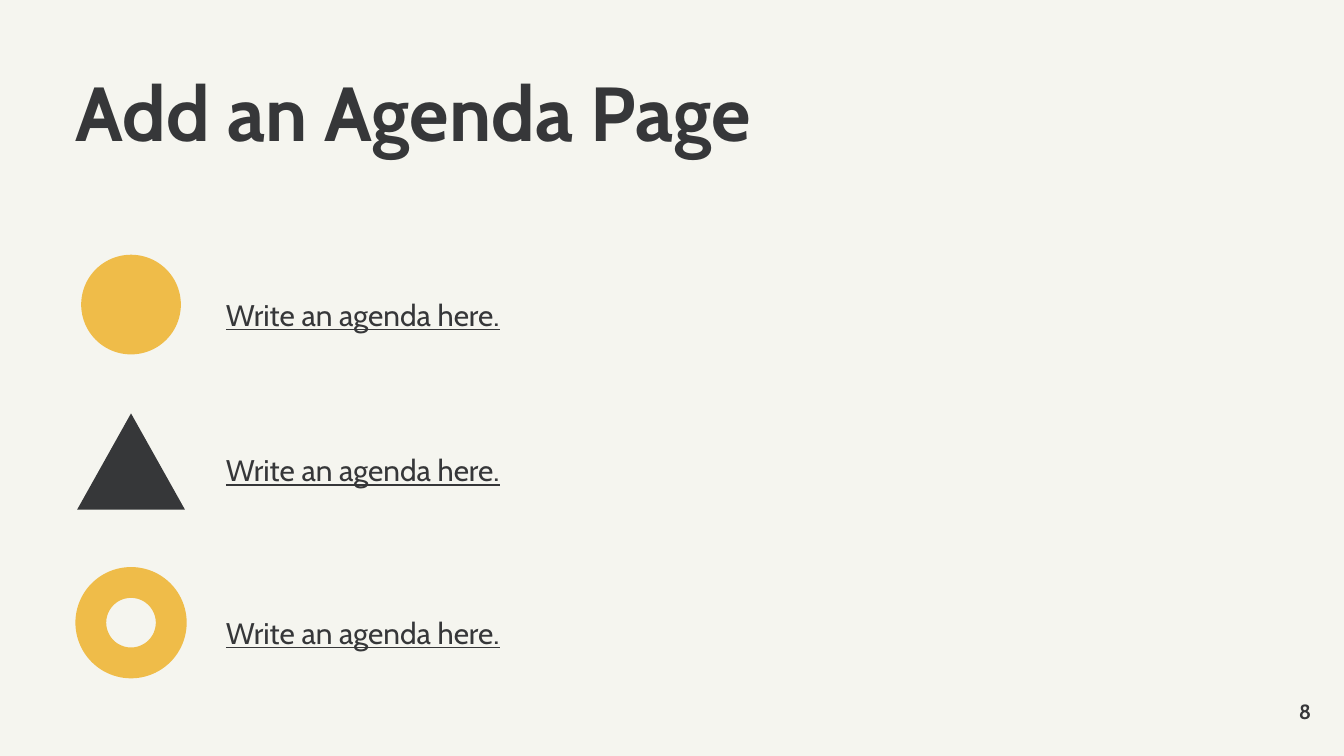
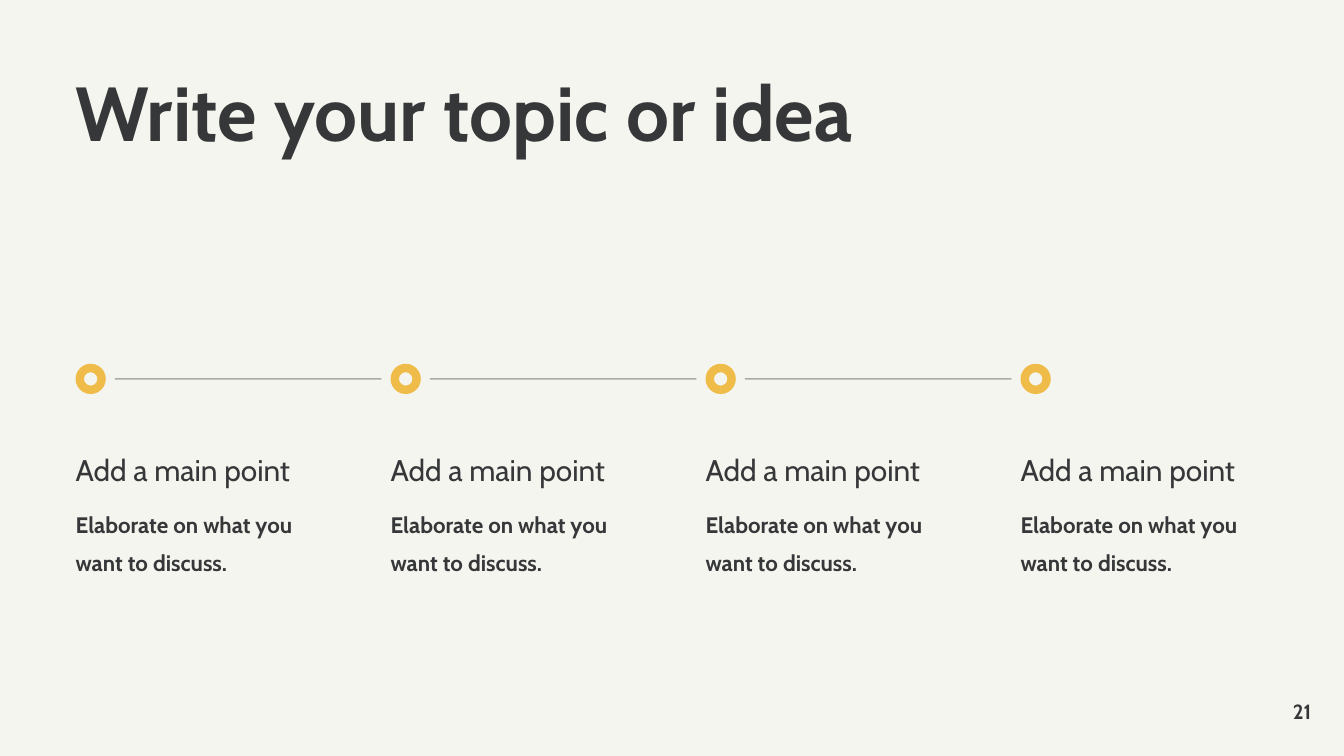
import pptx
import pptx.dml.color
import pptx.enum.shapes
import pptx.enum.text
import pptx.oxml
import pptx.oxml.ns
import pptx.util

Pt = pptx.util.Pt
MSO_SHAPE = pptx.enum.shapes.MSO_SHAPE
MSO_ANCHOR = pptx.enum.text.MSO_ANCHOR
PP_ALIGN = pptx.enum.text.PP_ALIGN
MSO_AUTO_SIZE = pptx.enum.text.MSO_AUTO_SIZE

PAPER = pptx.dml.color.RGBColor(0xF5, 0xF5, 0xEF)
INK = pptx.dml.color.RGBColor(0x36, 0x37, 0x39)
YELLOW = pptx.dml.color.RGBColor(0xEF, 0xBC, 0x49)
FONT = "Cabin"
MARGIN = 40.5
RING_THICKNESS = 0.277


def add_text(slide, text, left, top, width, height, size, spacing=None,
             bold=False, underline=None, grow=False):
    frame = slide.shapes.add_textbox(Pt(left), Pt(top), Pt(width), Pt(height)).text_frame
    frame.word_wrap = True
    frame.margin_left = frame.margin_right = frame.margin_top = frame.margin_bottom = 0
    frame.auto_size = MSO_AUTO_SIZE.SHAPE_TO_FIT_TEXT if grow else MSO_AUTO_SIZE.NONE
    frame.text = text
    paragraph = frame.paragraphs[0]
    paragraph.line_spacing = spacing
    font = paragraph.runs[0].font
    font.name = FONT
    font.size = Pt(size)
    font.bold = bold
    font.underline = underline
    font.color.rgb = INK
    return frame


def add_icon(slide, preset, left, top, width, height, color):
    icon = slide.shapes.add_shape(preset, Pt(left), Pt(top), Pt(width), Pt(height))
    icon.shadow.inherit = False
    icon.fill.solid()
    icon.fill.fore_color.rgb = color
    icon.line.fill.background()
    if preset == MSO_SHAPE.DONUT:
        icon.adjustments[0] = RING_THICKNESS


deck = pptx.Presentation()
deck.slide_width = Pt(720)
deck.slide_height = Pt(405)

# Background, title and page number of every slide
slides = []
for title, page in [("Add an Agenda Page", "8"), ("Write your topic or idea", "21")]:
    slide = deck.slides.add_slide(deck.slide_layouts[6])
    slide.background.fill.solid()
    slide.background.fill.fore_color.rgb = PAPER
    add_text(slide, title, MARGIN, 40.5, 510.5, 57, 41, 0.9, bold=True)
    number = add_text(slide, page, 659.5, 374, 43, 14.5, 11, bold=True)
    number.vertical_anchor = MSO_ANCHOR.MIDDLE
    number.paragraphs[0].alignment = PP_ALIGN.RIGHT
    slides.append(slide)
agenda, timeline = slides

# Agenda: icons centred on one axis, each with its entry
ICON_AXIS = 70.2
agenda_items = [
    (MSO_SHAPE.OVAL, 136.5, 53.4, 53.4, YELLOW, 151.2),
    (MSO_SHAPE.ISOSCELES_TRIANGLE, 221.5, 57.8, 51.6, INK, 234.6),
    (MSO_SHAPE.DONUT, 303.8, 59.6, 59.6, YELLOW, 321.8),
]
for preset, icon_top, width, height, color, entry_top in agenda_items:
    add_icon(agenda, preset, ICON_AXIS - width / 2, icon_top, width, height, color)
    add_text(agenda, "Write an agenda here.", 121, entry_top, 309, 19.5, 16, 1.4,
             underline=True, grow=True)

# Timeline: four equal columns, rings joined by thin lines
COLUMNS = 4
PITCH = 168.75
RING = 16.2
RING_GAP = 4.9
AXIS = 203
for column in range(COLUMNS):
    left = MARGIN + column * PITCH
    add_icon(timeline, MSO_SHAPE.DONUT, left, AXIS - RING / 2, RING, RING, YELLOW)
    add_text(timeline, "Add a main point", left, 234.3, 132.5, 19.5, 16, 1.4, grow=True)
    add_text(timeline, "Elaborate on what you want to discuss.", left, 268.3, 132.5, 34.5,
             12, 1.4, bold=True, grow=True)
    if column < COLUMNS - 1:
        link = timeline.shapes.add_connector(
            pptx.enum.shapes.MSO_CONNECTOR.STRAIGHT,
            Pt(left + RING + RING_GAP), Pt(AXIS), Pt(left + PITCH - RING_GAP), Pt(AXIS))
        link.line.width = Pt(0.75)
        link.line.color.rgb = INK
        # Translucent line without shadow
        properties = link._element.spPr
        ink = properties.find(".//" + pptx.oxml.ns.qn("a:srgbClr"))
        ink.append(pptx.oxml.parse_xml(
            f'<a:alpha {pptx.oxml.ns.nsdecls("a")} val="39000"/>'))
        properties.append(pptx.oxml.parse_xml(
            f'<a:effectLst {pptx.oxml.ns.nsdecls("a")}/>'))

deck.save("out.pptx")
